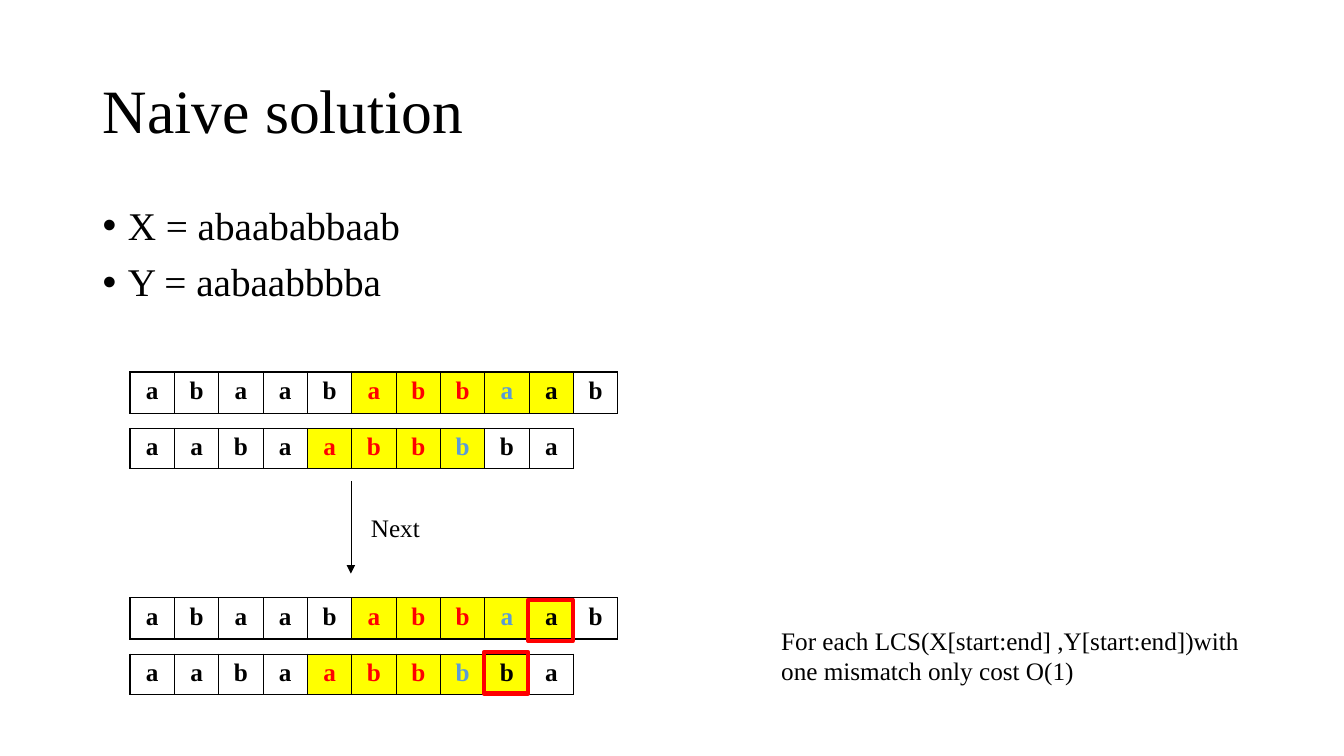
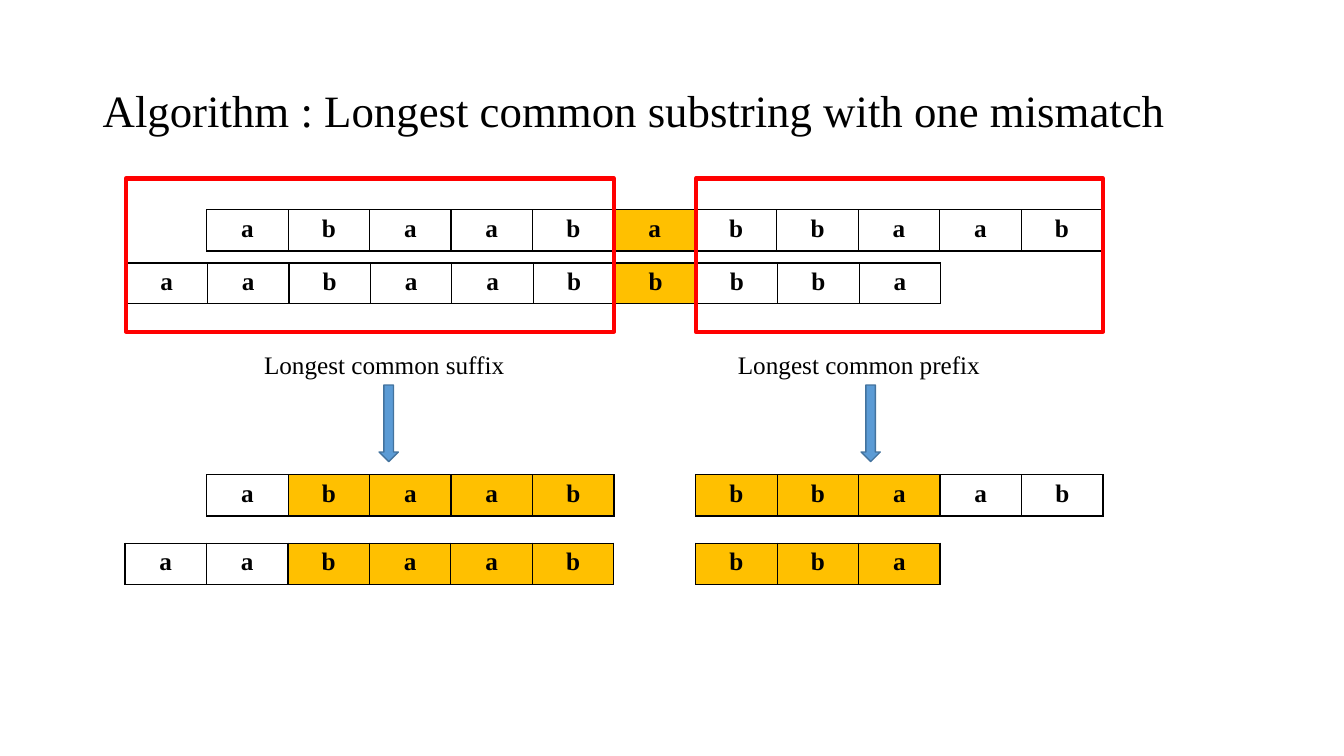
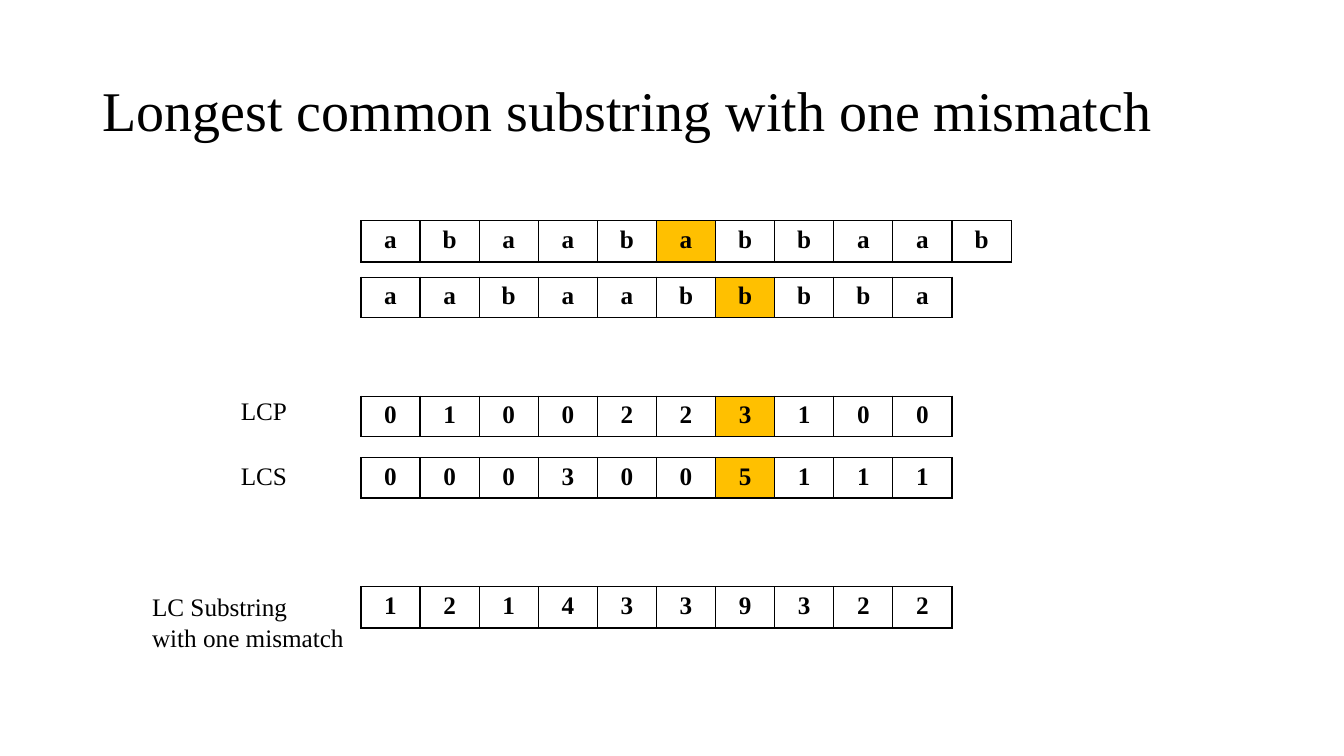
from lxml.etree import SubElement
from pptx import Presentation
from pptx.dml.color import RGBColor
from pptx.enum.shapes import MSO_CONNECTOR, MSO_SHAPE
from pptx.enum.text import MSO_ANCHOR, PP_ALIGN
from pptx.oxml.ns import qn
from pptx.util import Inches, Pt

FONT = "Times New Roman"
BLACK, RED, BLUE, DARK_BLUE = "000000", "FF0000", "5B9BD5", "43739E"
YELLOW, ORANGE = "FFFF00", "FFC000"
TALL, SHORT = 0.41, 0.38
CELL_STYLES = {
    ".": (None, BLACK),
    "r": (YELLOW, RED),
    "b": (YELLOW, BLUE),
    "y": (YELLOW, BLACK),
    "o": (ORANGE, BLACK),
}


def rgb(value):
    return RGBColor.from_string(value)


class Deck:
    """Holds the shared style and draws on the current slide."""

    def __init__(self):
        self.prs = Presentation()
        self.prs.slide_width = Inches(13.33)
        self.prs.slide_height = Inches(7.5)
        self.s = None

    def slide(self, title, size):
        self.s = self.prs.slides.add_slide(self.prs.slide_layouts[6])
        self.text([title], 0.92, 0.4, 11.5, 1.45, size, spacing=0.9, anchor=MSO_ANCHOR.MIDDLE)

    def run(self, p, text, size, color=BLACK, bold=False):
        r = p.add_run()
        r.text = text
        r.font.name = FONT
        r.font.size = Pt(size)
        r.font.bold = bold
        r.font.color.rgb = rgb(color)

    def bullet(self, p):
        pPr = p._p.get_or_add_pPr()
        pPr.set("marL", str(Inches(0.25)))
        pPr.set("indent", str(Inches(-0.25)))
        SubElement(pPr, qn("a:buFont"), typeface="Arial")
        SubElement(pPr, qn("a:buChar"), char="•")

    def text(self, lines, x, y, w, h, size=18, spacing=1.0, bullets=False,
             anchor=MSO_ANCHOR.TOP, wrap=True):
        tf = self.s.shapes.add_textbox(Inches(x), Inches(y), Inches(w), Inches(h)).text_frame
        tf.word_wrap = wrap
        tf.vertical_anchor = anchor
        for i, line in enumerate(lines):
            p = tf.add_paragraph() if i else tf.paragraphs[0]
            if bullets:
                self.bullet(p)
                if i:
                    p.space_before = Pt(10)
            p.line_spacing = spacing
            self.run(p, line, size)

    def border(self, cell):
        tcPr = cell._tc.get_or_add_tcPr()
        for side in ("lnL", "lnR", "lnT", "lnB"):
            ln = SubElement(tcPr, qn(f"a:{side}"), w=str(Pt(1)))
            fill = SubElement(ln, qn("a:solidFill"))
            SubElement(fill, qn("a:srgbClr"), val=BLACK)

    def strip(self, letters, marks, x, y, col, h):
        n = len(letters)
        table = self.s.shapes.add_table(1, n, Inches(x), Inches(y), Inches(n * col), Inches(h)).table
        table.first_row = table.horz_banding = False
        table.rows[0].height = Inches(h)
        for i, (letter, mark) in enumerate(zip(letters, marks)):
            table.columns[i].width = Inches(col)
            cell = table.cell(0, i)
            fill, ink = CELL_STYLES[mark]
            self.border(cell)
            if fill:
                cell.fill.solid()
                cell.fill.fore_color.rgb = rgb(fill)
            else:
                cell.fill.background()
            p = cell.text_frame.paragraphs[0]
            p.alignment = PP_ALIGN.CENTER
            self.run(p, letter, 18, ink, bold=True)

    def shape(self, kind, x, y, w, h, line, width, fill=None):
        sp = self.s.shapes.add_shape(kind, Inches(x), Inches(y), Inches(w), Inches(h))
        sp.shadow.inherit = False
        sp.line.color.rgb = rgb(line)
        sp.line.width = Pt(width)
        if fill:
            sp.fill.solid()
            sp.fill.fore_color.rgb = rgb(fill)
        else:
            sp.fill.background()

    def frame(self, x, y, w, h):
        self.shape(MSO_SHAPE.RECTANGLE, x, y, w, h, RED, 3)

    def down_arrow(self, x, y):
        self.shape(MSO_SHAPE.DOWN_ARROW, x, y, 0.19, 0.76, DARK_BLUE, 1, BLUE)

    def arrow(self, x1, y1, x2, y2):
        sp = self.s.shapes.add_connector(
            MSO_CONNECTOR.STRAIGHT, Inches(x1), Inches(y1), Inches(x2), Inches(y2))
        sp.line.color.rgb = rgb(BLACK)
        sp.line.width = Pt(0.5)
        spPr = sp._element.spPr
        SubElement(spPr.find(qn("a:ln")), qn("a:tailEnd"), type="triangle")
        SubElement(spPr, qn("a:effectLst"))


def naive_slide(deck, x_word, y_word):
    left, col = 1.29, 0.44
    deck.slide("Naive solution", 44)
    deck.text([f"X = {x_word}", f"Y = {y_word}"], 0.92, 2, 11.5, 4.76, 28,
              spacing=0.9, bullets=True)
    for top, y_marks in ((3.69, "....rrrb.."), (5.93, "....rrrby.")):
        deck.strip("abaababbaab", ".....rrrby.", left, top, col, TALL)
        deck.strip("aabaabbbba", y_marks, left, top + 0.56, col, SHORT)
    for index, top in ((9, 5.95), (8, 6.47)):
        deck.frame(left + index * col - 0.01, top, col, TALL)
    deck.arrow(3.48, 4.77, 3.48, 5.69)
    deck.text(["Next"], 3.58, 5.03, 2.47, 0.4)
    deck.text(["For each LCS(X[start:end] ,Y[start:end])with one mismatch only cost O(1)"],
              7.65, 6.15, 5.06, 0.71)


def algorithm_slide(deck, x_word, y_word):
    col = 8.89 / 11
    deck.slide("Algorithm : Longest common substring with one mismatch", 32)
    deck.strip(x_word, ".....o.....", 2.05, 2.08, col, TALL)
    deck.strip(y_word, "......o...", 1.25, 2.61, col, SHORT)
    for name, frame_x, frame_w, label_x, arrow_x in (
            ("suffix", 1.25, 4.84, 2.52, 3.76), ("prefix", 6.9, 4.04, 7.22, 8.54)):
        deck.frame(frame_x, 1.77, frame_w, 1.52)
        deck.text([f"Longest common {name}"], label_x, 3.42, 2.69, 0.4)
        deck.down_arrow(arrow_x, 3.82)
    for letters, marks, left, top in (
            (x_word[:5], ".oooo", 2.05, 4.71), (y_word[:6], "..oooo", 1.24, 5.39),
            (x_word[6:], "ooo..", 6.9, 4.71), (y_word[7:], "ooo", 6.9, 5.39)):
        deck.strip(letters, marks, left, top, col, TALL)


def result_slide(deck, x_word, y_word):
    deck.slide("Longest common substring with one mismatch", 40)
    for letters, marks, top, height in (
            (x_word, ".....o.....", 2.19, TALL),
            (y_word, "......o...", 2.75, SHORT),
            ("0100223100", "......o...", 3.93, SHORT),
            ("0003005111", "......o...", 4.54, SHORT),
            ("1214339322", "..........", 5.82, TALL)):
        deck.strip(letters, marks, 3.58, top, 6.45 / 11, height)
    deck.text(["LCP"], 2.29, 3.87, 1.02, 0.4)
    deck.text(["LCS"], 2.29, 4.52, 1.02, 0.4)
    deck.text(["LC Substring", "with one mismatch"], 1.41, 5.82, 2.17, 0.71, wrap=False)


def main():
    deck = Deck()
    for build in (naive_slide, algorithm_slide, result_slide):
        build(deck, "abaababbaab", "aabaabbbba")
    deck.prs.save("out.pptx")


if __name__ == "__main__":
    main()
